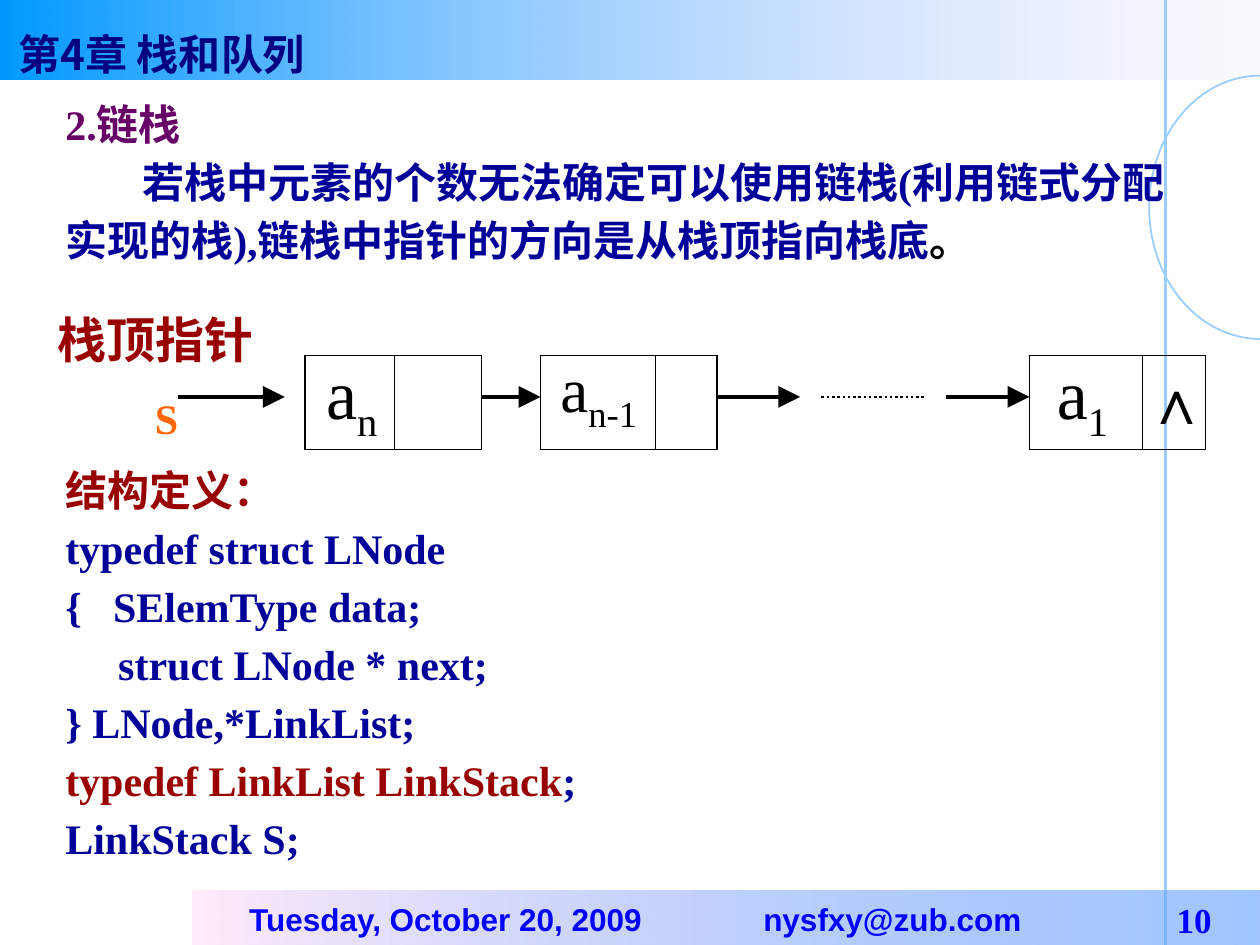
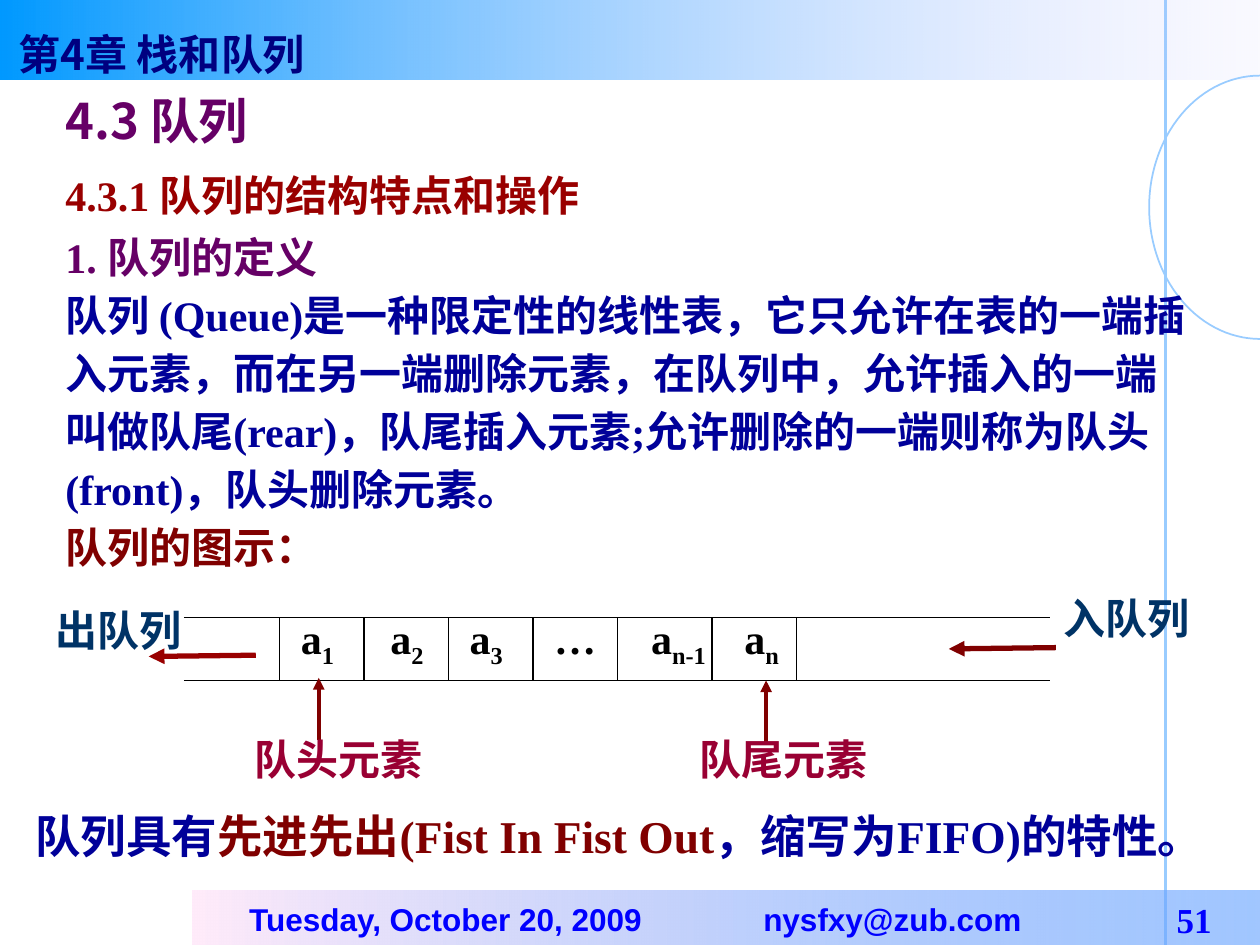
import math

import lxml.etree
import pptx
import pptx.dml.color
import pptx.enum.dml
import pptx.enum.shapes
import pptx.enum.text
import pptx.oxml.ns
import pptx.util

COLOURS = {
    "black": "000000", "title": "000080", "navy": "000099", "purple": "660066",
    "red": "990000", "maroon": "800000", "crimson": "990033", "teal": "003366",
    "orange": "FF6600", "footer": "0000FF", "rule": "99CCFF",
    "sky": "0099FF", "lilac": "CCCCFF", "pink": "FFEBFA", "blue": "5E9EFF",
}
RGB = {name: pptx.dml.color.RGBColor.from_string(code) for name, code in COLOURS.items()}
SERIF, CJK = "Times New Roman", "Noto Sans CJK SC"
# Line heights as multiples of the type size
PLAIN, INDEXED, BODY = 1.2, 1.37, 1.38
qn = pptx.oxml.ns.qn

deck = pptx.Presentation()
deck.slide_width = pptx.util.Inches(10)
deck.slide_height = pptx.util.Inches(7.5)
# The slide is a grid of 100 columns and 75 rows
COL, ROW = deck.slide_width / 100, deck.slide_height / 75


def line(slide, start, end, colour="black", width=0.75, arrow=None, dash=None):
    """Draw a straight line between two grid points; arrow is the size of a head at its end."""
    connector = slide.shapes.add_connector(
        pptx.enum.shapes.MSO_CONNECTOR.STRAIGHT,
        int(start[0] * COL), int(start[1] * ROW), int(end[0] * COL), int(end[1] * ROW))
    connector.line.color.rgb = RGB[colour]
    connector.line.width = pptx.util.Pt(width)
    if dash:
        connector.line.dash_style = dash
    properties = connector.element.spPr
    if arrow:
        lxml.etree.SubElement(properties.find(qn("a:ln")), qn("a:tailEnd"),
                              type="triangle", w=arrow, len=arrow)
    lxml.etree.SubElement(properties, qn("a:effectLst"))


def text(slide, box, paragraphs, size=24, leading=PLAIN, font=SERIF, bold=True, wrap=False,
         anchor=pptx.enum.text.MSO_ANCHOR.TOP):
    """Set paragraphs, each (runs, format); a run is (words, colour[, baseline shift in %])."""
    left, top, width, height = box
    frame = slide.shapes.add_textbox(
        int(left * COL), int(top * ROW), int(width * COL), int(height * ROW)).text_frame
    frame.word_wrap = wrap
    frame.vertical_anchor = anchor
    for index, (runs, layout) in enumerate(paragraphs):
        paragraph = frame.add_paragraph() if index else frame.paragraphs[0]
        paragraph.line_spacing = pptx.util.Pt(size * leading)
        for side in ("space_before", "space_after"):
            if side in layout:
                setattr(paragraph, side, pptx.util.Pt(layout[side]))
        properties = paragraph._p.get_or_add_pPr()
        if "indent" in layout:
            properties.set("indent", str(int(layout["indent"] * COL)))
        if "tab" in layout:
            stops = lxml.etree.SubElement(properties, qn("a:tabLst"))
            lxml.etree.SubElement(stops, qn("a:tab"), pos=str(int(layout["tab"] * COL)), algn="l")
        for words, colour, *shift in runs:
            run = paragraph.add_run()
            run.text = words
            character = {"size": pptx.util.Pt(size), "bold": bold, "name": font}
            for attribute, value in character.items():
                setattr(run.font, attribute, value)
            run.font.color.rgb = RGB[colour]
            run_properties = run._r.get_or_add_rPr()
            lxml.etree.SubElement(run_properties, qn("a:ea"), typeface=CJK)
            if shift:
                run_properties.set("baseline", str(shift[0] * 1000))


# Frame shared by both slides: bands, arc, rule, chapter title and footer
# Each band: box, left (colour, opacity %), right (colour, opacity %)
BANDS = [
    ((0, 0, 100, 6.3), ("sky", 100), ("lilac", 10)),
    ((15.3, 70.7, 84.7, 4.3), ("pink", 100), ("blue", 58)),
]
ARC_CENTRE, ARC_RADII, ARC_STEPS = (100, 16.45), (8.8, 10.45), 60
arc = []
for step in range(ARC_STEPS + 1):
    angle = math.pi * step / ARC_STEPS
    arc.append((int((ARC_CENTRE[0] - ARC_RADII[0] * math.sin(angle)) * COL),
                int((ARC_CENTRE[1] - ARC_RADII[1] * math.cos(angle)) * ROW)))

pages = []
for page_number in ("10", "51"):
    page = deck.slides.add_slide(deck.slide_layouts[6])
    pages.append(page)
    line(page, (92.5, 0), (92.5, 75), "rule", 1.5)
    for (left, top, width, height), *ends in BANDS:
        band = page.shapes.add_shape(
            pptx.enum.shapes.MSO_SHAPE.RECTANGLE,
            int(left * COL), int(top * ROW), int(width * COL), int(height * ROW))
        band.shadow.inherit = False
        band.line.fill.background()
        band.fill.gradient()
        band.fill.gradient_angle = 0
        for stop, (colour, opacity) in zip(band.fill.gradient_stops, ends):
            stop.color.rgb = RGB[colour]
        for mark, (colour, opacity) in zip(band.element.spPr.iter(qn("a:srgbClr")), ends):
            lxml.etree.SubElement(mark, qn("a:alpha"), val=str(opacity * 1000))

    outline = page.shapes.build_freeform(*arc[0])
    outline.add_line_segments(arc[1:], close=False)
    curve = outline.convert_to_shape()
    curve.shadow.inherit = False
    curve.fill.background()
    curve.line.color.rgb = RGB["rule"]
    curve.line.width = pptx.util.Pt(1)

    text(page, (0.5, 1.8, 27, 4.4), [([("第4章 栈和队列", "title")], {})], font=CJK)
    for left, width, words, font, size in [
        (18.8, 34, "Tuesday, October 20, 2009", "Arial", 18),
        (59.6, 23, "nysfxy@zub.com", "Arial", 18),
        (92.4, 6, page_number, SERIF, 20),
    ]:
        text(page, (left, 70.8, width, 4.3), [([(words, "footer")], {})], size, PLAIN, font,
             anchor=pptx.enum.text.MSO_ANCHOR.MIDDLE)

stack, queue = pages

# Linked stack
text(stack, (4.2, 6.7, 90, 62.3), [
    ([("2.链栈", "purple")], {}),
    ([("若栈中元素的个数无法确定可以使用链栈(利用链式分配实现的栈),链栈中指针的方向是从栈顶指向栈底",
       "navy"), ("。", "black")], {"indent": 6.1}),
    ([("结构定义：", "red")], {"space_before": 110}),
    ([("typedef struct LNode", "navy")], {}),
    ([("{\tSElemType data;", "navy")], {"tab": 3.8}),
    ([("struct LNode * next;", "navy")], {"indent": 4.2}),
    ([("} LNode,*LinkList;", "navy")], {}),
    ([("typedef LinkList LinkStack", "red"), (";", "navy")], {}),
    ([("LinkStack S;", "navy")], {}),
], leading=BODY, wrap=True)

NODE_TOP, NODE_BOTTOM, LINK_ROW = 28.2, 35.7, 31.5
for left, divider, right in [(24.2, 31.3, 38.2), (42.9, 52, 56.9), (81.7, 90.7, 95.7)]:
    for edge in (left, divider, right):
        line(stack, (edge, NODE_TOP), (edge, NODE_BOTTOM))
    for edge in (NODE_TOP, NODE_BOTTOM):
        line(stack, (left, edge), (right, edge))
for start, end in [(14.1, 22.6), (38.2, 42.9), (56.9, 63.5), (75.1, 81.7)]:
    line(stack, (start, LINK_ROW), (end, LINK_ROW), width=2.5, arrow="lg")
line(stack, (65.2, LINK_ROW), (73.4, LINK_ROW), width=1.5,
     dash=pptx.enum.dml.MSO_LINE.ROUND_DOT)

for left, index, size in [(24.9, "n", 40), (43.5, "n-1", 36), (82.9, "1", 40)]:
    text(stack, (left, 27.2, 10, 8.6),
         [([("a", "black"), (index, "black", -25)], {})], size, INDEXED, bold=False)
text(stack, (89.9, 28.2, 5.8, 7), [([("∧", "black")], {})], 36, bold=False)
text(stack, (3.6, 24.1, 17.5, 5.7), [([("栈顶指针", "red")], {})], 28)
text(stack, (11.3, 30.7, 3.8, 5), [([("S", "orange")], {})])

# Queue
text(queue, (4.2, 6.7, 40, 6), [([("4.3 队列", "purple")], {})], 28, font=CJK)
text(queue, (4.2, 12.4, 91.5, 33), [
    ([("4.3.1 队列的结构特点和操作", "red")], {"space_after": 2}),
    ([("1. 队列的定义", "purple")], {}),
    ([("队列 (Queue)是一种限定性的线性表，它只允许在表的一端插入元素，而在另一端删除元素，"
       "在队列中，允许插入的一端叫做队尾(rear)，队尾插入元素;允许删除的一端则称为队头(front)，"
       "队头删除元素。", "navy")], {}),
    ([("队列的图示：", "maroon")], {}),
], leading=BODY, wrap=True)

QUEUE_TOP, QUEUE_BOTTOM = 49, 54
for edge in (QUEUE_TOP, QUEUE_BOTTOM):
    line(queue, (14.6, edge), (83.3, edge))
for edge in (22.2, 28.9, 35.6, 42.3, 49, 56.5, 63.2):
    line(queue, (edge, QUEUE_TOP), (edge, QUEUE_BOTTOM))
for left, index in [(22.9, "1"), (30, "2"), (36.3, "3"), (50.7, "n-1"), (58.1, "n")]:
    text(queue, (left, 48.1, 9, 5.6),
         [([("a", "black"), (index, "black", -25)], {})], leading=INDEXED)
text(queue, (43, 48.1, 6, 5), [([("…", "black")], {})])

for start, end, colour, width in [
    ((20.3, 52), (11.8, 52.1), "red", 3),
    ((83.8, 51.4), (75.3, 51.5), "maroon", 3),
    ((25.3, 58.7), (25.3, 53.8), "maroon", 2.25),
    ((60.8, 59), (60.8, 54), "maroon", 2.25),
]:
    line(queue, start, end, colour, width, arrow="med")
for left, top, width, words, colour in [
    (3.4, 47.5, 12, "出队列", "teal"),
    (83.4, 46.5, 12, "入队列", "teal"),
    (19.2, 57.7, 15.3, "队头元素", "crimson"),
    (54.5, 57.7, 15.3, "队尾元素", "crimson"),
]:
    text(queue, (left, top, width, 5), [([(words, colour)], {})])
text(queue, (1.8, 63.6, 98.2, 5.4), [([
    ("队列具有", "navy"), ("先进先出(Fist In Fist Out", "maroon"),
    ("，缩写为FIFO)的特性。", "navy")], {})], 26)

deck.save("out.pptx")
